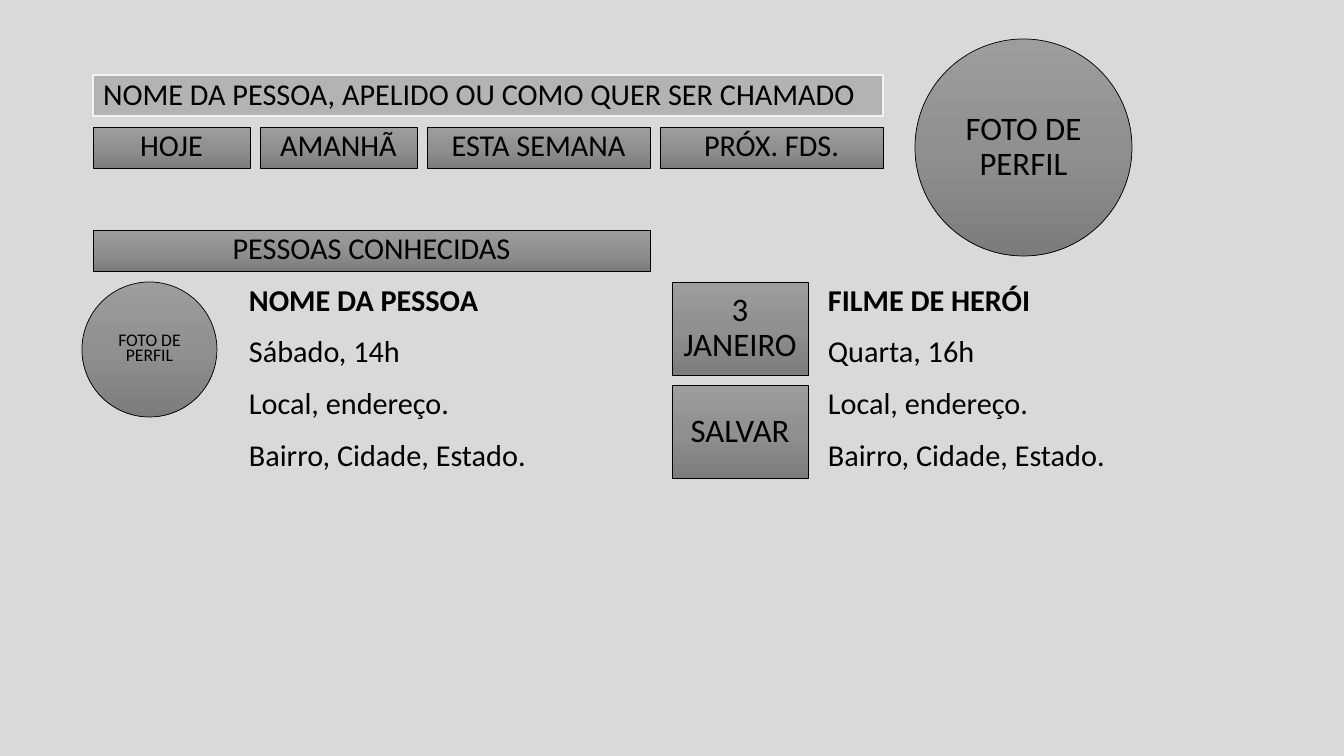
import copy
from dataclasses import dataclass

import pptx
import pptx.dml.color
import pptx.enum.shapes
import pptx.enum.text
import pptx.oxml
import pptx.oxml.ns
import pptx.util

SHAPE = pptx.enum.shapes.MSO_SHAPE
ALIGN = pptx.enum.text.PP_ALIGN


@dataclass(frozen=True)
class Theme:
    font: str = "Calibri"
    background: str = "D9D9D9"
    text: str = "000000"
    outline: str = "000000"
    title_fill: str = "AFABAB"
    title_alpha: int = 84
    title_outline: str = "F2F2F2"
    gradient: tuple = ("9D9D9D", "909090", "7C7C7C")
    body: float = 21.6
    large: float = 23.4
    small: float = 12.6


def rgb(value):
    return pptx.dml.color.RGBColor.from_string(value)


class Canvas:
    EMU_PER_PIXEL = 914400 / 100.8

    def __init__(self, presentation, theme):
        self.theme = theme
        presentation.slide_width = self.px(1344)
        presentation.slide_height = self.px(756)
        self.slide = presentation.slides.add_slide(presentation.slide_layouts[5])
        background = self.slide.background.fill
        background.solid()
        background.fore_color.rgb = rgb(theme.background)

    def px(self, pixels):
        return pptx.util.Emu(round(pixels * self.EMU_PER_PIXEL))

    def box(self, *pixels):
        return [self.px(length) for length in pixels]

    def set_text(self, shape, text, size, spacing, align=ALIGN.LEFT, bold=False):
        frame = shape.text_frame
        frame.text = text
        frame.word_wrap = True
        frame.auto_size = pptx.enum.text.MSO_AUTO_SIZE.NONE
        frame.vertical_anchor = pptx.enum.text.MSO_ANCHOR.MIDDLE
        for paragraph in frame.paragraphs:
            paragraph.alignment = align
            paragraph.line_spacing = spacing
            for run in paragraph.runs:
                run.font.name = self.theme.font
                run.font.size = pptx.util.Pt(size)
                run.font.bold = bold
                run.font.color.rgb = rgb(self.theme.text)

    def outline(self, shape, color, width):
        shape.line.color.rgb = rgb(color)
        shape.line.width = pptx.util.Pt(width)

    def title(self, text, *pixels):
        title = self.slide.shapes.title
        title.left, title.top, title.width, title.height = self.box(*pixels)
        title.fill.solid()
        title.fill.fore_color.rgb = rgb(self.theme.title_fill)
        color = title._element.spPr.find(".//" + pptx.oxml.ns.qn("a:srgbClr"))
        color.append(pptx.oxml.parse_xml(
            f'<a:alpha {pptx.oxml.ns.nsdecls("a")} val="{self.theme.title_alpha * 1000}"/>'))
        self.outline(title, self.theme.title_outline, 1.25)
        self.set_text(title, text, self.theme.body, 0.9)

    def gradient(self, shape):
        shape.fill.gradient()
        shape.fill.gradient_angle = 270
        stops = shape._element.spPr.find(".//" + pptx.oxml.ns.qn("a:gsLst"))
        stops.insert(1, copy.deepcopy(stops[0]))
        for index, (stop, color) in enumerate(
                zip(shape.fill.gradient_stops, self.theme.gradient)):
            stop.position = index / 2
            stop.color.rgb = rgb(color)

    def button(self, text, *pixels, size=None, spacing=0.8, kind=SHAPE.RECTANGLE):
        button = self.slide.shapes.add_shape(kind, *self.box(*pixels))
        button.shadow.inherit = False
        self.gradient(button)
        self.outline(button, self.theme.outline, 0.5)
        self.set_text(button, text, size or self.theme.body, spacing, ALIGN.CENTER)

    def photo(self, left, top, diameter, size, spacing):
        self.button("FOTO DE PERFIL", left, top, diameter, diameter,
                    size=size, spacing=spacing, kind=SHAPE.OVAL)

    def label(self, text, *pixels, bold=False):
        label = self.slide.shapes.add_textbox(*self.box(*pixels))
        self.set_text(label, text, self.theme.body, 0.8, bold=bold)


# Shared grid
LEFT, GAP, ROW_HEIGHT = 93, 10, 41


def row_top(row):
    return 75 + round(51.7 * row)


theme = Theme()
presentation = pptx.Presentation()
canvas = Canvas(presentation, theme)

# Profile name and photo
canvas.title("NOME DA PESSOA, APELIDO OU COMO QUER SER CHAMADO",
             LEFT, row_top(0), 790, ROW_HEIGHT)
canvas.photo(915, 39, 217, theme.large, 0.9)

# Period filters
filter_left = LEFT
for period, width in (("HOJE", 157), ("AMANHÃ", 157),
                      ("ESTA SEMANA", 223), ("PRÓX. FDS.", 223)):
    canvas.button(period, filter_left, row_top(1), width, ROW_HEIGHT)
    filter_left += width + GAP

# Known people heading and photo
canvas.button("PESSOAS CONHECIDAS", LEFT, row_top(3), 557, ROW_HEIGHT)
canvas.photo(82, row_top(4), 135, theme.small, 0.7)

# Event details
for details_left, name, time in ((239, "NOME DA PESSOA", "Sábado, 14h"),
                                 (818, "FILME DE HERÓI", "Quarta, 16h")):
    details = (name, time, "Local, endereço.", "Bairro, Cidade, Estado.")
    for line, text in enumerate(details):
        canvas.label(text, details_left, row_top(4 + line), 411, ROW_HEIGHT,
                     bold=line == 0)

# Event date and save button
for row, text in ((4, "3\nJANEIRO"), (6, "SALVAR")):
    canvas.button(text, 672, row_top(row), 136, 93, size=theme.large, spacing=0.9)

presentation.save("out.pptx")
